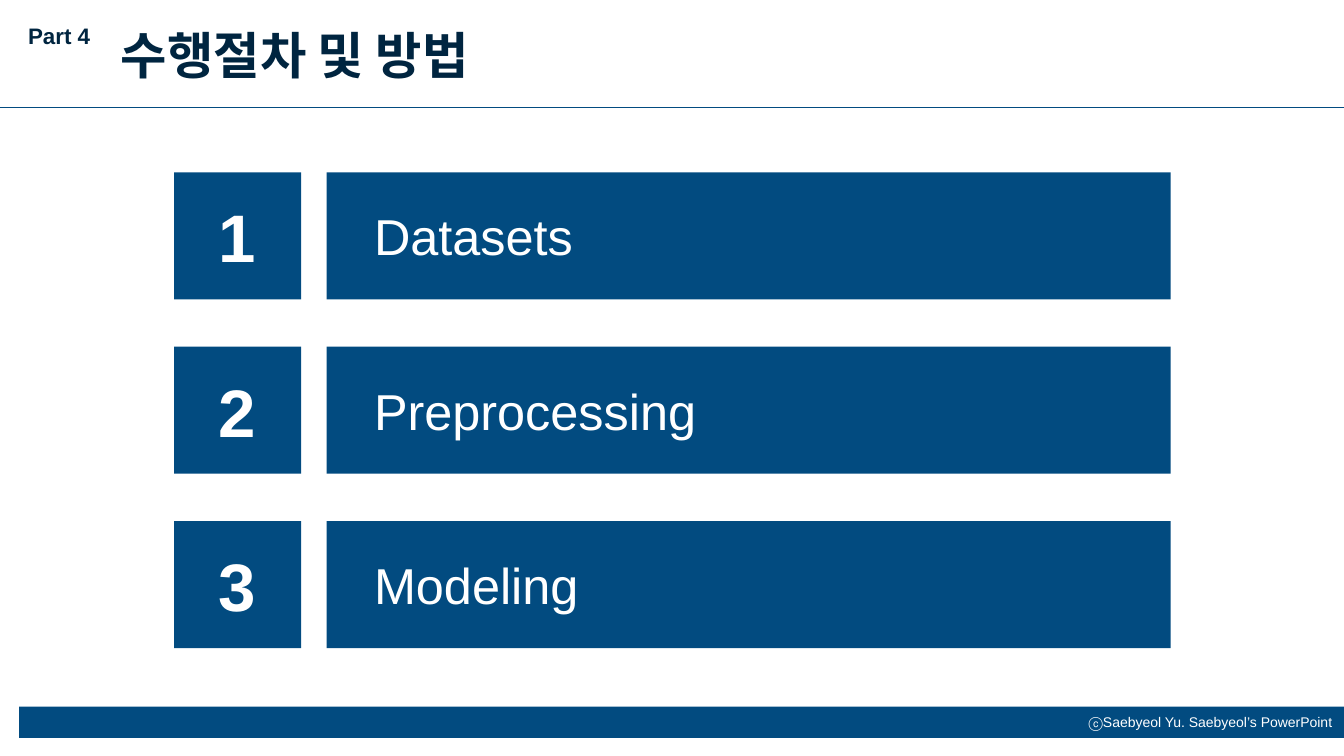
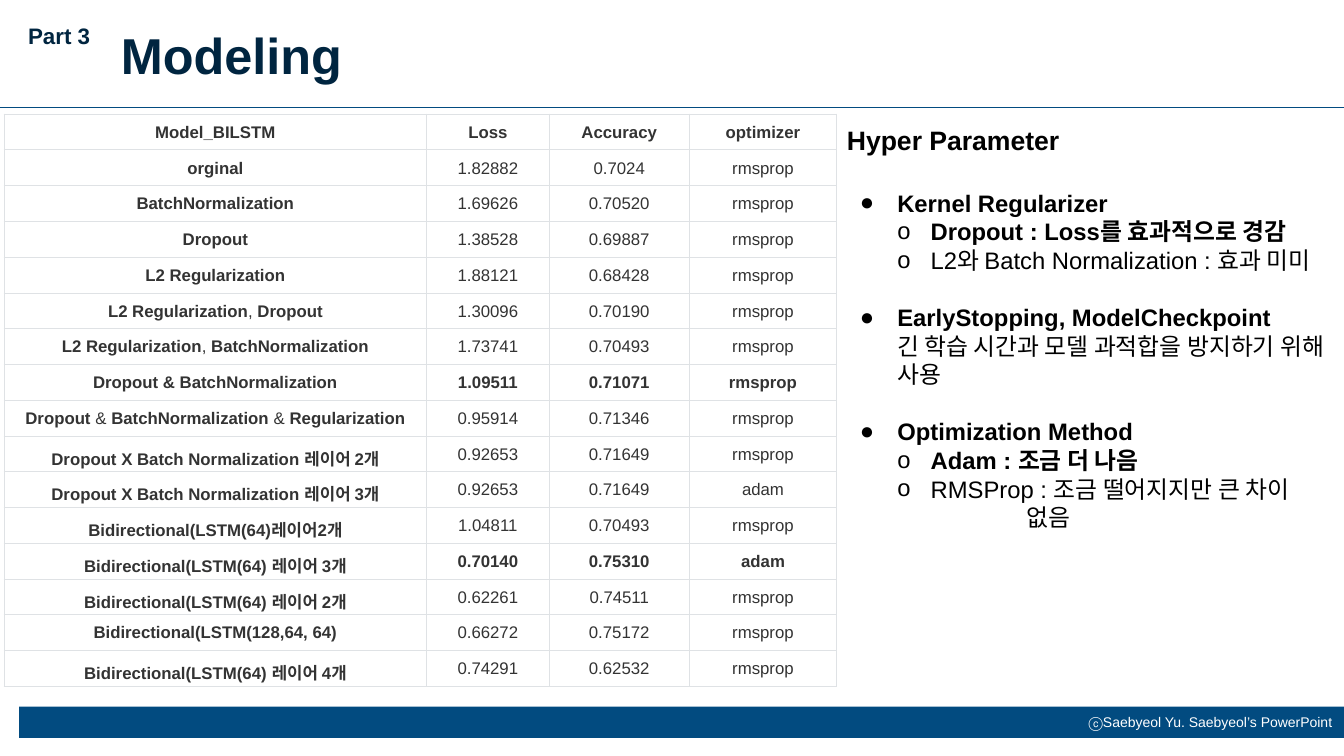
from lxml import etree
from pptx import Presentation
from pptx.dml.color import RGBColor
from pptx.enum.shapes import MSO_CONNECTOR, MSO_SHAPE
from pptx.enum.text import MSO_ANCHOR, MSO_AUTO_SIZE, PP_ALIGN
from pptx.oxml.ns import qn
from pptx.util import Inches, Pt

RECTANGLE = MSO_SHAPE.RECTANGLE
STRAIGHT = MSO_CONNECTOR.STRAIGHT
TOP, MIDDLE = MSO_ANCHOR.TOP, MSO_ANCHOR.MIDDLE
LEFT, CENTER, RIGHT = PP_ALIGN.LEFT, PP_ALIGN.CENTER, PP_ALIGN.RIGHT
NO_AUTOFIT = MSO_AUTO_SIZE.NONE
TITLE_ONLY = 5

COLORS = {
    "band": "024B80",
    "title": "002540",
    "white": "FFFFFF",
    "black": "000000",
    "cell_text": "333333",
    "cell_border": "DFE2E5",
}
FONT = "Arial"
COPYRIGHT = "ⓒSaebyeol Yu. Saebyeol’s PowerPoint"

# The grid has 100 columns and 100 rows over the whole slide.
SLIDE_WIDTH, SLIDE_HEIGHT = Inches(13.33), Inches(7.5)
HEADER_ROW = 14.27
CONTENT_ROW = 15.1

STEPS = ["Datasets", "Preprocessing", "Modeling"]

TABLE_COLUMNS = [31.45, 9.1, 10.45, 10.95]
TABLE_ROW = 4.73
TABLE_HEADER = ["Model_BILSTM", "Loss", "Accuracy", "optimizer"]
# Every second part of a model name, split at "|", is set in regular weight.
RESULTS = [
    ("orginal", "1.82882", "0.7024", "rmsprop"),
    ("BatchNormalization", "1.69626", "0.70520", "rmsprop"),
    ("Dropout", "1.38528", "0.69887", "rmsprop"),
    ("L2 Regularization", "1.88121", "0.68428", "rmsprop"),
    ("L2 Regularization|, |Dropout", "1.30096", "0.70190", "rmsprop"),
    ("L2 Regularization|, |BatchNormalization", "1.73741", "0.70493", "rmsprop"),
    ("Dropout & BatchNormalization", "1.09511", "0.71071", "rmsprop"),
    ("Dropout |& |BatchNormalization |& |Regularization", "0.95914", "0.71346", "rmsprop"),
    ("Dropout X Batch Normalization 레이어 2개", "0.92653", "0.71649", "rmsprop"),
    ("Dropout X Batch Normalization 레이어 3개", "0.92653", "0.71649", "adam"),
    ("Bidirectional(LSTM(64)레이어2개", "1.04811", "0.70493", "rmsprop"),
    ("Bidirectional(LSTM(64) 레이어 3개", "0.70140", "0.75310", "adam"),
    ("Bidirectional(LSTM(64) 레이어 2개", "0.62261", "0.74511", "rmsprop"),
    ("Bidirectional(LSTM(128,64, 64)", "0.66272", "0.75172", "rmsprop"),
    ("Bidirectional(LSTM(64) 레이어 4개", "0.74291", "0.62532", "rmsprop"),
]
HIGHLIGHTED_LOSSES = {"1.09511", "0.70140"}

# Level: (left margin, first-line indent, bullet, size, space before)
LEVELS = {
    "heading": (0, 0, None, 19, 0),
    "first topic": (0.5, -0.37, "●", 17, 23),
    "topic": (0.5, -0.37, "●", 17, 20.5),
    "item": (0.83, -0.33, "ο", 17, 0),
    "body": (0.5, 0, None, 17, 0),
    "continuation": (1.78, 0, None, 17, 0),
}
HYPER_PARAMETERS = [
    ("heading", "Hyper Parameter", True),
    ("first topic", "Kernel Regularizer", True),
    ("item", "Dropout : Loss를 효과적으로 경감", True),
    ("item", "L2와 Batch Normalization : 효과 미미", False),
    ("topic", "EarlyStopping, ModelCheckpoint", True),
    ("body", "긴 학습 시간과 모델 과적합을 방지하기 위해 사용", False),
    ("topic", "Optimization Method", True),
    ("item", "Adam : 조금 더 나음", True),
    ("item", "RMSProp : 조금 떨어지지만 큰 차이", False),
    ("continuation", "없음", False),
]


def color(name):
    return RGBColor.from_string(COLORS[name])


def columns(count):
    return round(SLIDE_WIDTH * count / 100)


def rows(count):
    return round(SLIDE_HEIGHT * count / 100)


def area(left, top, width, height):
    return columns(left), rows(top), columns(width), rows(height)


def format_font(font, size, color_name, bold=False):
    font.name = FONT
    font.size = Pt(size)
    font.bold = bold
    font.color.rgb = color(color_name)


def set_text(shape, text, size, color_name, bold=False, align=LEFT, anchor=TOP):
    frame = shape.text_frame
    frame.text = text
    frame.word_wrap = True
    frame.auto_size = NO_AUTOFIT
    frame.vertical_anchor = anchor
    paragraph = frame.paragraphs[0]
    paragraph.alignment = align
    format_font(paragraph.runs[0].font, size, color_name, bold)


def add_block(slide, box):
    block = slide.shapes.add_shape(RECTANGLE, *area(*box))
    block.shadow.inherit = False
    block.fill.solid()
    block.fill.fore_color.rgb = color("band")
    block.line.fill.background()
    return block


def add_rule(slide, row):
    rule = slide.shapes.add_connector(STRAIGHT, 0, rows(row), SLIDE_WIDTH, rows(row))
    rule.line.color.rgb = color("band")
    rule.line.width = Pt(0.75)
    etree.SubElement(rule._element.spPr, qn("a:effectLst"))


def add_framed_slide(presentation, part, title):
    """Add a slide with the shared footer, rule, part label and title."""
    slide = presentation.slides.add_slide(presentation.slide_layouts[TITLE_ONLY])
    add_block(slide, (1.43, 93.47, 98.57, 4.13))
    footer = slide.shapes.add_textbox(*area(80.12, 93.73, 19.73, 3.6))
    set_text(footer, COPYRIGHT, 10, "white", align=RIGHT)
    add_rule(slide, HEADER_ROW)
    label = slide.shapes.add_textbox(*area(1.35, 2.27, 6.9, 4.93))
    set_text(label, part, 16, "title", bold=True)
    heading = slide.shapes.title
    heading.left, heading.top, heading.width, heading.height = area(8.25, 2.53, 85.4, 9.47)
    set_text(heading, title, 36, "title", bold=True)
    return slide


def add_step(slide, number, name):
    top = 22.8 + 23.07 * (number - 1)
    tile = add_block(slide, (12.95, top, 9.45, 16.8))
    set_text(tile, str(number), 48, "white", bold=True, align=CENTER, anchor=MIDDLE)
    bar = add_block(slide, (24.3, top, 62.8, 16.8))
    set_text(bar, name, 36, "white", anchor=MIDDLE)
    bar.text_frame.margin_left = Inches(0.47)


def set_borders(cell):
    properties = cell._tc.get_or_add_tcPr()
    for index, side in enumerate(("lnL", "lnR", "lnT", "lnB")):
        border = etree.Element(qn(f"a:{side}"), w=str(Pt(0.75)))
        fill = etree.SubElement(border, qn("a:solidFill"))
        etree.SubElement(fill, qn("a:srgbClr"), val=COLORS["cell_border"])
        properties.insert(index, border)


def fill_cell(cell, text, bold):
    cell.fill.solid()
    cell.fill.fore_color.rgb = color("white")
    set_borders(cell)
    cell.margin_left = cell.margin_right = Inches(0.14)
    cell.margin_top = Inches(0.06)
    # Hangul lines are taller than Latin ones; no bottom margin keeps rows equal.
    cell.margin_bottom = 0
    paragraph = cell.text_frame.paragraphs[0]
    paragraph.alignment = CENTER
    paragraph.line_spacing = 1.15
    for index, part in enumerate(text.split("|")):
        run = paragraph.add_run()
        run.text = part
        format_font(run.font, 12, "cell_text", bold and index % 2 == 0)


def add_results_table(slide):
    records = [TABLE_HEADER, *RESULTS]
    box = area(0.3, CONTENT_ROW, sum(TABLE_COLUMNS), TABLE_ROW * len(records))
    table = slide.shapes.add_table(len(records), len(TABLE_COLUMNS), *box).table
    table.first_row = table.horz_banding = False
    for column, width in zip(table.columns, TABLE_COLUMNS):
        column.width = columns(width)
    for row_index, record in enumerate(records):
        table.rows[row_index].height = rows(TABLE_ROW)
        bold_row = row_index == 0 or record[1] in HIGHLIGHTED_LOSSES
        for column_index, text in enumerate(record):
            cell = table.cell(row_index, column_index)
            fill_cell(cell, text, bold_row or column_index == 0)


def set_level(paragraph, margin, indent, bullet):
    properties = paragraph._p.get_or_add_pPr()
    properties.set("marL", str(Inches(margin)))
    properties.set("indent", str(Inches(indent)))
    if bullet:
        bullet_color = etree.SubElement(properties, qn("a:buClr"))
        etree.SubElement(bullet_color, qn("a:srgbClr"), val=COLORS["black"])
        etree.SubElement(properties, qn("a:buFont"), typeface=FONT)
        etree.SubElement(properties, qn("a:buChar"), char=bullet)


def add_outline(slide, box, entries):
    frame = slide.shapes.add_textbox(*area(*box)).text_frame
    frame.word_wrap = True
    frame.margin_top = frame.margin_bottom = Inches(0.1)
    frame.margin_right = Inches(0.05)
    for index, (level, text, bold) in enumerate(entries):
        paragraph = frame.add_paragraph() if index else frame.paragraphs[0]
        margin, indent, bullet, size, space_before = LEVELS[level]
        set_level(paragraph, margin, indent, bullet)
        paragraph.space_before = Pt(space_before)
        paragraph.text = text
        format_font(paragraph.runs[0].font, size, "black", bold)


def main():
    presentation = Presentation()
    presentation.slide_width, presentation.slide_height = SLIDE_WIDTH, SLIDE_HEIGHT

    procedure = add_framed_slide(presentation, "Part 4", "수행절차 및 방법")
    for number, name in enumerate(STEPS, start=1):
        add_step(procedure, number, name)

    modeling = add_framed_slide(presentation, "Part 3", "Modeling")
    add_results_table(modeling)
    add_outline(modeling, (62.27, CONTENT_ROW, 37.4, 57.07), HYPER_PARAMETERS)

    presentation.save("out.pptx")


if __name__ == "__main__":
    main()
